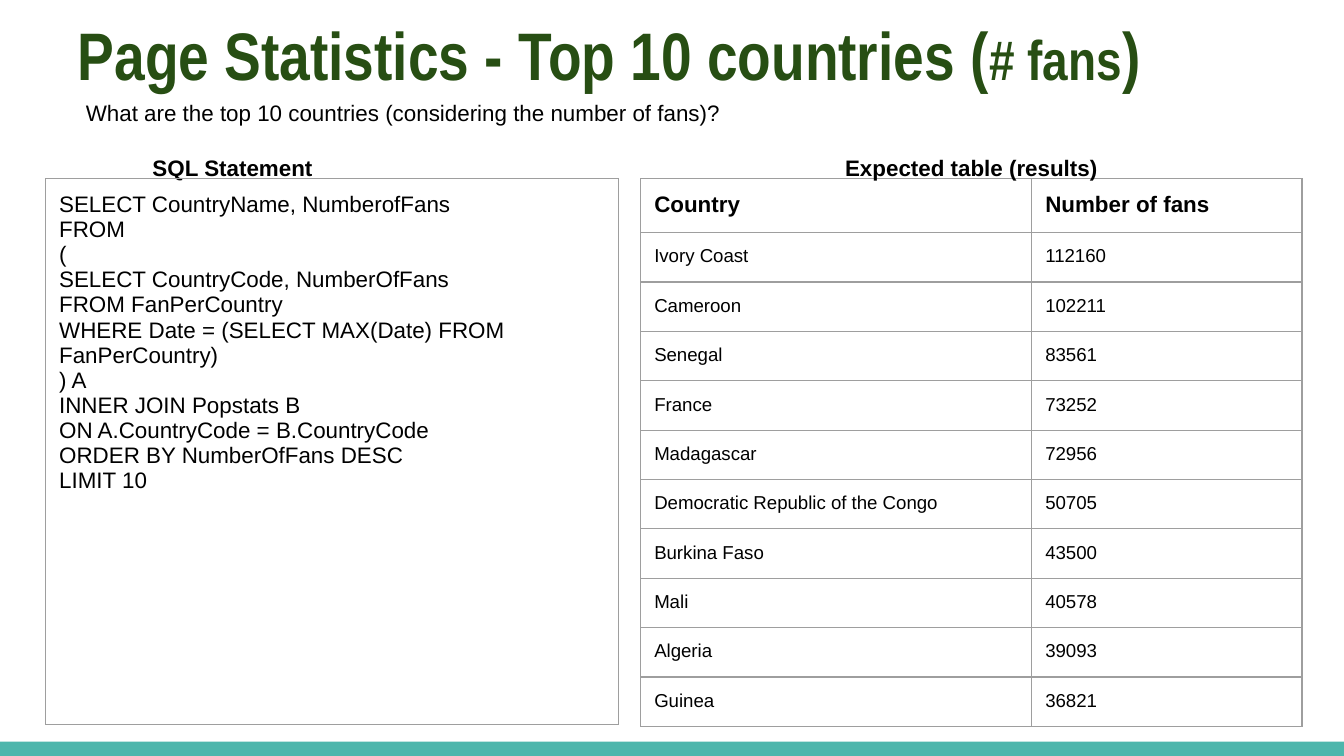
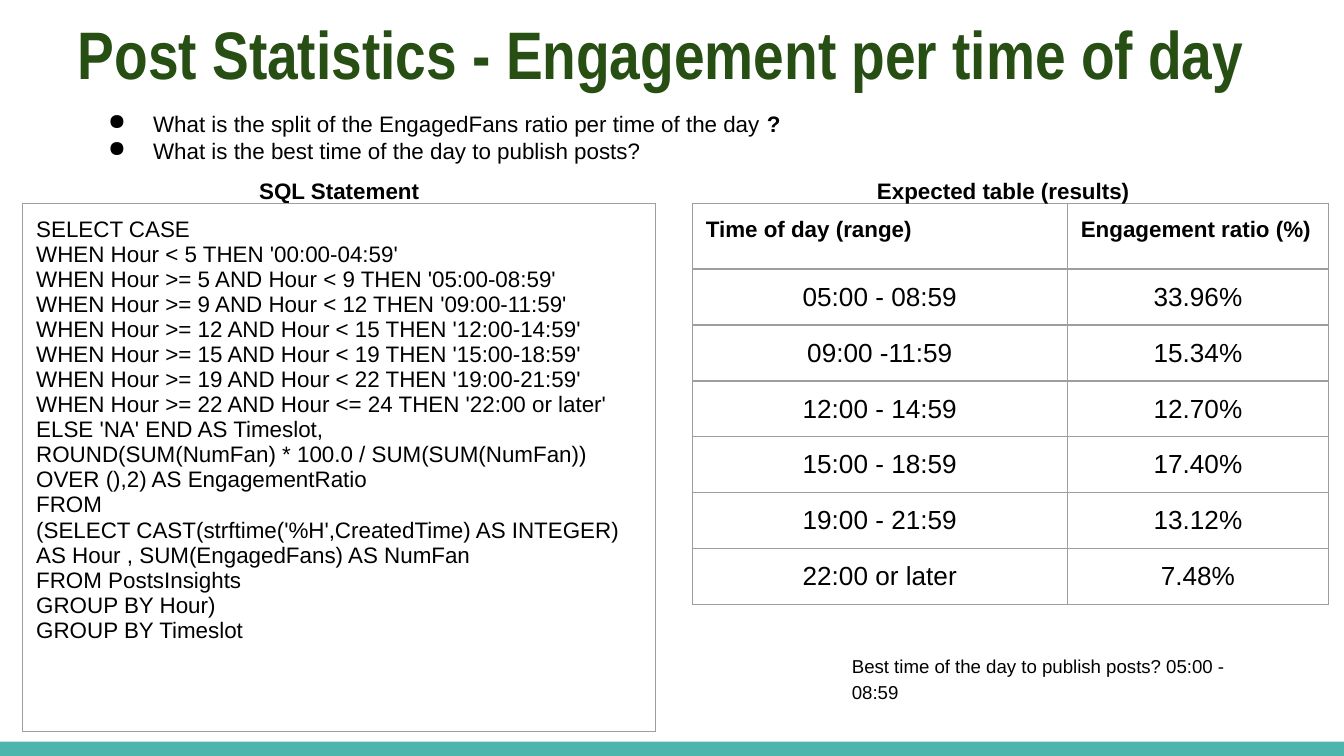
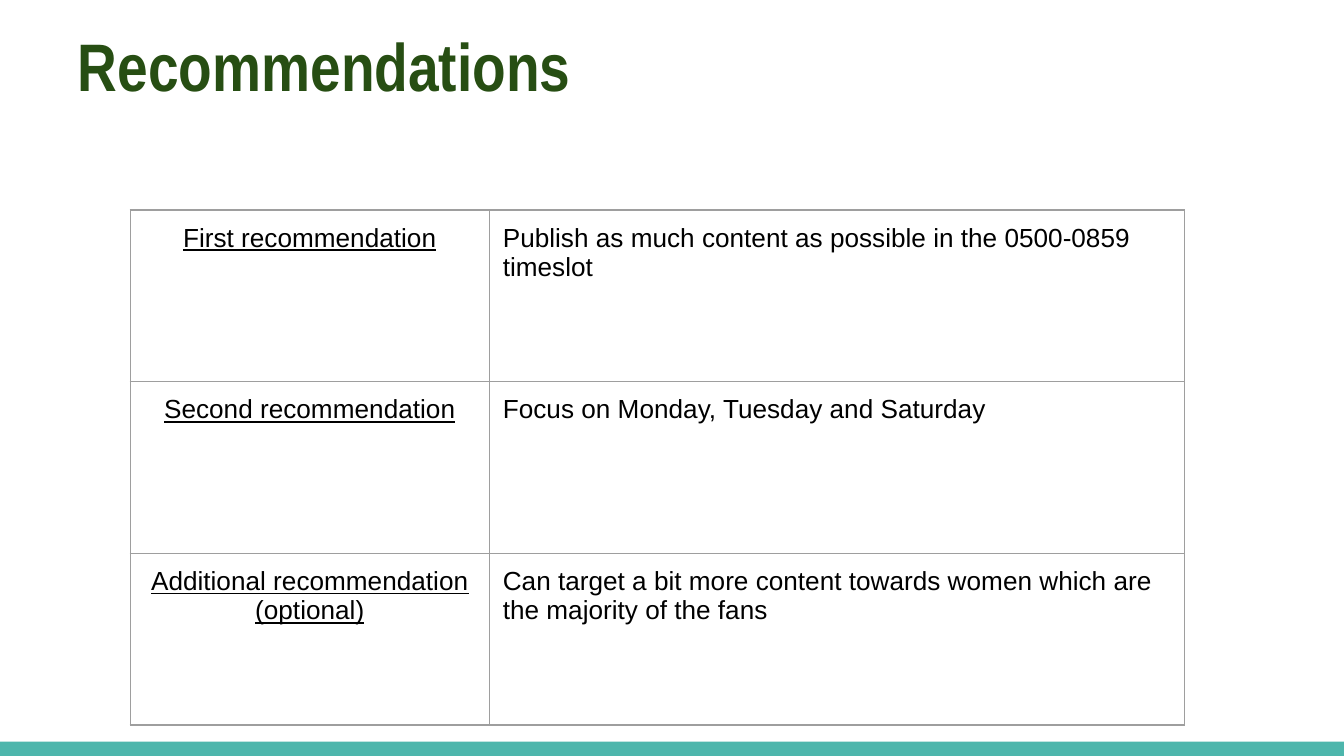
from pptx import Presentation
from pptx.dml.color import RGBColor
from pptx.enum.shapes import MSO_SHAPE as Shape
from pptx.enum.text import MSO_ANCHOR as Anchor, PP_ALIGN as Align
from pptx.oxml.ns import qn
from pptx.util import Pt
from lxml.etree import SubElement

# Shared look
COLORS = {"title": "274E13", "text": "000000", "band": "4DB6AC", "border": "9E9E9E"}
TITLE_FONT, BODY_FONT = "Arial Narrow", "Arial"
WIDTH, HEIGHT, BAND = 720, 405, 7.6
INSET = (7.2, 7.2)
LABEL_HEIGHT = 18

# Content: paragraphs are strings, or lists of (text, format) spans
COUNTRIES = {
    "title": [("Page Statistics - Top 10 countries (", {}), ("# fans", {"size": 30}), (")", {})],
    "question": ["What are the top 10 countries (considering the number of fans)?"],
    "sql": [
        "SELECT CountryName, NumberofFans",
        "FROM",
        "(",
        "SELECT CountryCode, NumberOfFans",
        "FROM FanPerCountry",
        "WHERE Date = (SELECT MAX(Date) FROM FanPerCountry)",
        ") A",
        "INNER JOIN Popstats B",
        "ON A.CountryCode = B.CountryCode",
        "ORDER BY NumberOfFans DESC",
        "LIMIT 10",
    ],
    "results": [
        ("Country", "Number of fans"),
        ("Ivory Coast", "112160"),
        ("Cameroon", "102211"),
        ("Senegal", "83561"),
        ("France", "73252"),
        ("Madagascar", "72956"),
        ("Democratic Republic of the Congo", "50705"),
        ("Burkina Faso", "43500"),
        ("Mali", "40578"),
        ("Algeria", "39093"),
        ("Guinea", "36821"),
    ],
}
TIMES = {
    "title": "Post Statistics - Engagement per time of day",
    "question": [
        [("What is the split of the EngagedFans ratio per time of the day ", {}), ("?", {"bold": True})],
        "What is the best time of the day to publish posts?",
    ],
    "sql": [
        "SELECT CASE",
        "WHEN Hour < 5 THEN '00:00-04:59'",
        "WHEN Hour >= 5 AND Hour < 9 THEN '05:00-08:59'",
        "WHEN Hour >= 9 AND Hour < 12 THEN '09:00-11:59'",
        "WHEN Hour >= 12 AND Hour < 15 THEN '12:00-14:59'",
        "WHEN Hour >= 15 AND Hour < 19 THEN '15:00-18:59'",
        "WHEN Hour >= 19 AND Hour < 22 THEN '19:00-21:59'",
        "WHEN Hour >= 22 AND Hour <= 24 THEN '22:00 or later'",
        "ELSE 'NA' END AS Timeslot,",
        "ROUND(SUM(NumFan) * 100.0 / SUM(SUM(NumFan)) OVER (),2) AS EngagementRatio",
        "FROM",
        "(SELECT CAST(strftime('%H',CreatedTime) AS INTEGER) AS Hour , SUM(EngagedFans) AS NumFan",
        "FROM PostsInsights",
        "GROUP BY Hour)",
        "GROUP BY Timeslot",
    ],
    "results": [
        ("Time of day (range)", "Engagement ratio (%)"),
        ("05:00 - 08:59", "33.96%"),
        ("09:00 -11:59", "15.34%"),
        ("12:00 - 14:59", "12.70%"),
        ("15:00 - 18:59", "17.40%"),
        ("19:00 - 21:59", "13.12%"),
        ("22:00 or later", "7.48%"),
    ],
    "answer": ["Best time of the day to publish posts? 05:00 - 08:59"],
}
RECOMMENDATIONS = [
    ("First recommendation", "Publish as much content as possible in the 0500-0859 timeslot"),
    ("Second recommendation", "Focus on Monday, Tuesday and Saturday"),
    ("Additional recommendation (optional)",
     "Can target a bit more content towards women which are the majority of the fans"),
]

# Cell formats
HEADER = {"bold": True}
TIME_CELL = {"size": 14, "align": Align.CENTER, "anchor": Anchor.MIDDLE, "inset": (2.2, 3.6)}
NAME_CELL = {"size": 14, "align": Align.CENTER, "underline": True}


def write(frame, paragraphs, size=12, font=BODY_FONT, color="text", bold=False,
          underline=False, align=Align.LEFT, bullet=False, spacing=None):
    for index, spans in enumerate(paragraphs):
        para = frame.paragraphs[0] if index == 0 else frame.add_paragraph()
        para.alignment = align
        if spacing:
            para.line_spacing = spacing
        if bullet:
            add_bullet(para)
        for text, change in [(spans, {})] if isinstance(spans, str) else spans:
            span = para.add_run()
            span.text = text
            span.font.name = font
            span.font.size = Pt(change.get("size", size))
            span.font.bold = change.get("bold", bold)
            span.font.underline = underline
            span.font.color.rgb = RGBColor.from_string(COLORS[color])


def add_bullet(para):
    props = para._p.get_or_add_pPr()
    props.set("marL", str(Pt(36)))
    props.set("indent", str(Pt(-24)))
    tint = SubElement(props, qn("a:buClr"))
    SubElement(tint, qn("a:srgbClr"), val=COLORS["text"])
    SubElement(props, qn("a:buChar"), char="●")


def set_margins(target, inset):
    target.margin_left = target.margin_right = Pt(inset[0])
    target.margin_top = target.margin_bottom = Pt(inset[1])


def add_text(page, left, top, width, height, paragraphs, **style):
    box = page.shapes.add_textbox(Pt(left), Pt(top), Pt(width), Pt(height))
    frame = box.text_frame
    frame.word_wrap = True
    set_margins(frame, INSET)
    write(frame, paragraphs, **style)


def add_borders(cell):
    props = cell._tc.get_or_add_tcPr()
    for side in ("lnL", "lnR", "lnT", "lnB"):
        line = SubElement(props, qn(f"a:{side}"), w=str(Pt(0.75)))
        fill = SubElement(line, qn("a:solidFill"))
        SubElement(fill, qn("a:srgbClr"), val=COLORS["border"])


def add_grid(page, left, top, widths, heights, rows):
    """Each cell in rows is a pair: its paragraphs and its format."""
    table = page.shapes.add_table(len(rows), len(widths), Pt(left), Pt(top),
                                  Pt(sum(widths)), Pt(sum(heights))).table
    table.first_row = table.horz_banding = False
    for column, width in zip(table.columns, widths):
        column.width = Pt(width)
    for row, height, contents in zip(table.rows, heights, rows):
        row.height = Pt(height)
        for cell, (paragraphs, style) in zip(row.cells, contents):
            style = dict(style)
            cell.vertical_anchor = style.pop("anchor", Anchor.TOP)
            set_margins(cell, style.pop("inset", INSET))
            add_borders(cell)
            cell.fill.background()
            write(cell.text_frame, paragraphs, **style)


def add_page(deck, title, top=0):
    page = deck.slides.add_slide(deck.slide_layouts[6])
    band = page.shapes.add_shape(Shape.RECTANGLE, 0, Pt(HEIGHT - BAND), Pt(WIDTH), Pt(BAND))
    band.shadow.inherit = False
    band.fill.solid()
    band.fill.fore_color.rgb = RGBColor.from_string(COLORS["band"])
    band.line.fill.background()
    add_text(page, 34.6, top, 671, 55.4, [title], size=36, font=TITLE_FONT,
             color="title", bold=True)
    return page


def add_query(page, content, top, label_top, sql, results, labels, heights, body):
    """SQL on the left, result table on the right, a label above each."""
    header_height, row_height = heights
    rows = [[([text], HEADER if index == 0 else body) for text in texts]
            for index, texts in enumerate(content["results"])]
    row_heights = [header_height] + [row_height] * (len(rows) - 1)
    add_grid(page, results[0], top, results[1], row_heights, rows)
    for text, (left, width) in zip(("SQL Statement", "Expected table (results)"), labels):
        add_text(page, left, label_top, width, LABEL_HEIGHT, [text], bold=True, align=Align.CENTER)
    left, width, height = sql
    add_grid(page, left, top, [width], [height], [[(content["sql"], {})]])


def main():
    deck = Presentation()
    deck.slide_width, deck.slide_height = Pt(WIDTH), Pt(HEIGHT)

    # Top countries
    page = add_page(deck, COUNTRIES["title"])
    add_text(page, 38.9, 46.1, 641.5, 25.2, COUNTRIES["question"])
    add_query(page, COUNTRIES, top=95.8, label_top=75.6, sql=(24.5, 306.7, 292.5),
              results=(343.3, (209.5, 144.7)), labels=((24.5, 200.2), (343.3, 354.2)),
              heights=(28.8, 26.4), body={"size": 10})

    # Engagement per time of day
    page = add_page(deck, TIMES["title"], top=-0.7)
    add_text(page, 38.9, 51.8, 641.5, 38.9, TIMES["question"], bullet=True)
    add_query(page, TIMES, top=108.9, label_top=87.8, sql=(12.2, 339.1, 283),
              results=(370.9, (200.9, 140)), labels=((12.2, 339.1), (371.5, 331.9)),
              heights=(35.2, 30), body=TIME_CELL)
    add_text(page, 449.3, 342, 236.2, 50, TIMES["answer"], size=10, spacing=1.15)

    # Recommendations
    page = add_page(deck, "Recommendations", top=5.8)
    rows = [[([name], NAME_CELL), ([advice], {"size": 14})] for name, advice in RECOMMENDATIONS]
    add_grid(page, 69.8, 112.5, (192.4, 372.6), [92] * len(rows), rows)

    deck.save("out.pptx")


if __name__ == "__main__":
    main()
